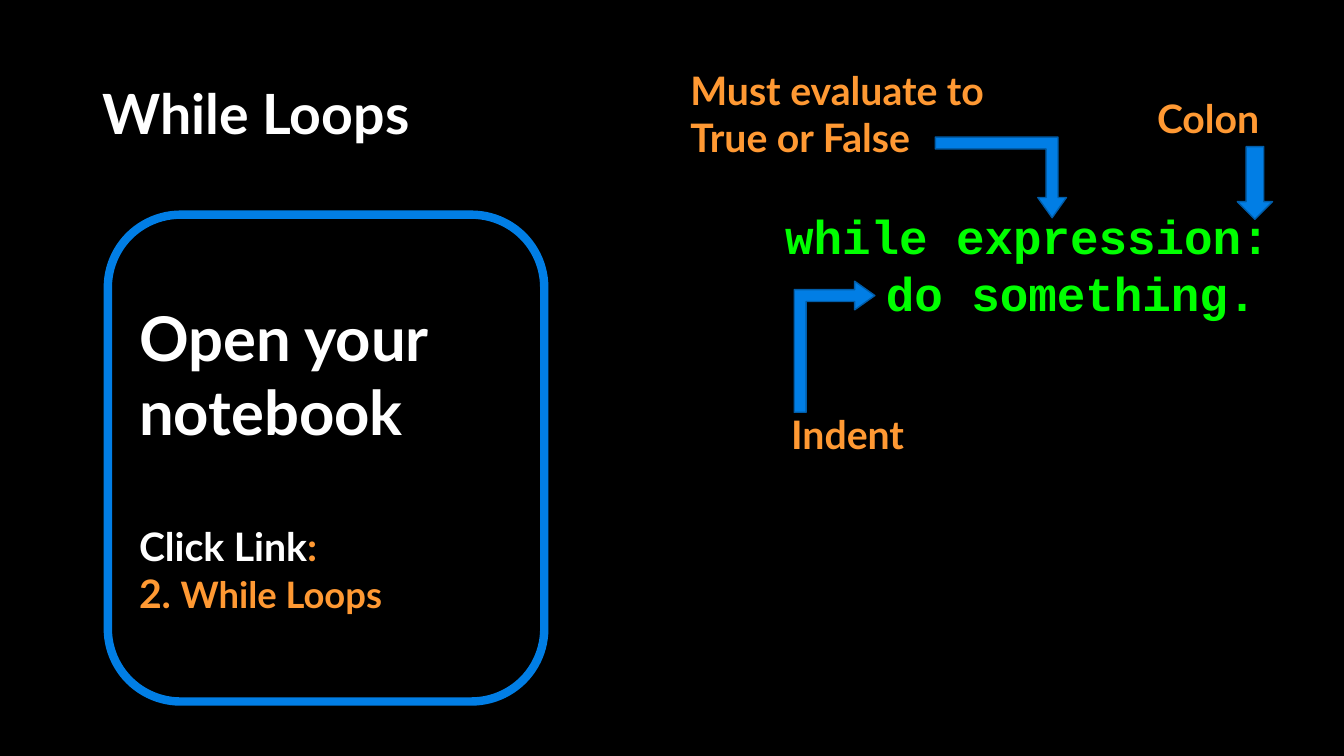
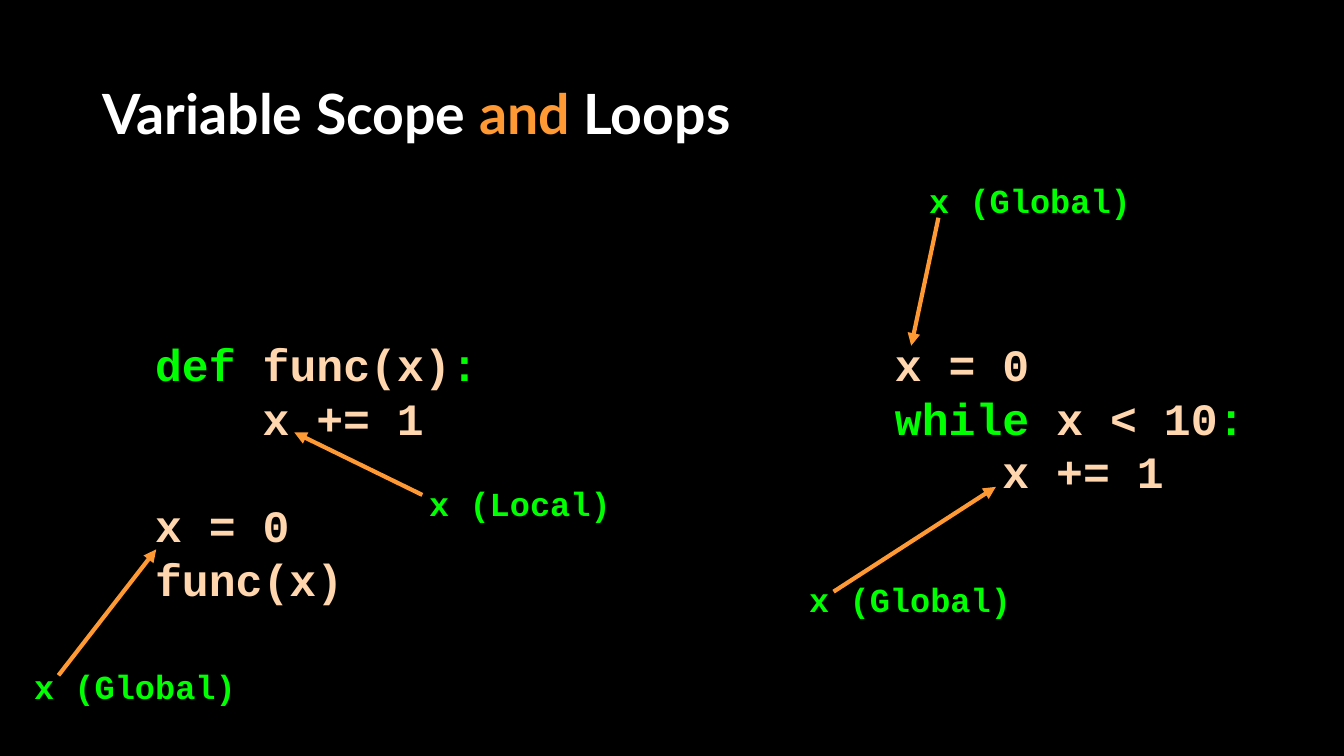
"""Two slides on while loops and variable scope."""
import dataclasses

import pptx
import pptx.dml.color
import pptx.enum.shapes
import pptx.enum.text
import pptx.oxml
import pptx.oxml.ns
import pptx.util

Pt = pptx.util.Pt
RGBColor = pptx.dml.color.RGBColor
SHAPE = pptx.enum.shapes.MSO_SHAPE
MIDDLE = pptx.enum.text.MSO_ANCHOR.MIDDLE
TOP = pptx.enum.text.MSO_ANCHOR.TOP

BLACK = RGBColor(0x00, 0x00, 0x00)
WHITE = RGBColor(0xFF, 0xFF, 0xFF)
ORANGE = RGBColor(0xFF, 0x99, 0x33)
PEACH = RGBColor(0xFF, 0xD6, 0xAD)
GREEN = RGBColor(0x00, 0xFF, 0x00)
BLUE = RGBColor(0x01, 0x7E, 0xE5)
DARK_BLUE = RGBColor(0x01, 0x5D, 0xA9)

PROSE, CODE = "Lato", "Courier New"
TITLE_BOX = (66.24, 57.6, 828, 51.84)
CODE_SIZE = 32
CODE_INDENT = 4 * 0.6 * CODE_SIZE
BLANK_LINE = 1.2


@dataclasses.dataclass
class Line:
    """One paragraph: runs of (text, colour), size, indent and gap above."""
    runs: list
    size: float
    indent: float = 0
    before: float = 0


def code(*runs, **layout):
    """Return a line of the code listings."""
    return Line(list(runs), CODE_SIZE, **layout)


LOOP_TITLE = [("While Loops", WHITE)]
SCOPE_TITLE = [("Variable Scope ", WHITE), ("and", ORANGE), (" Loops", WHITE)]

TASK_BOX = (77.04, 153.36, 311.76, 347.76)
TASK = [
    Line([("Open your notebook", WHITE)], 44),
    Line([("Click Link", WHITE), (":", ORANGE)], 28, before=44 * BLANK_LINE),
    Line([("2. ", ORANGE), ("While Loops", ORANGE, 26)], 28),
]
SYNTAX_BOX = (553.68, 144, 364.32, 90)
SYNTAX = [
    Line([("while expression:", GREEN)], 34),
    Line([("do something.", GREEN)], 34, indent=72),
]
SYNTAX_NOTES = [
    (["Indent"], (558, 289.44, 101.52, 41.04)),
    (["Colon"], (819.36, 64.08, 92.16, 41.04)),
    (["Must evaluate to", "True or False"], (486, 43.92, 246.24, 74.88)),
]
COLON_ARROW = (883.8, 104.76, 25.2, 51.84)
BENT_ARROWS = [
    ((549.36, 218.88, 93.6, 57.6), 90),
    ((668.16, 97.92, 93.6, 57.6), 180),
]
BENT_ADJUSTMENTS = (0.147, 0.177, 0.25)

LISTINGS = [
    ((632.16, 236.88, 278.64, 123.84), [
        code(("x = 0", PEACH)),
        code(("while ", GREEN), ("x < 10", PEACH), (":", GREEN)),
        code(("x += 1", PEACH), indent=CODE_INDENT),
    ]),
    ((103.68, 236.88, 278.64, 239.76), [
        code(("def ", GREEN), ("func(x)", PEACH), (":", GREEN)),
        code(("x += 1", PEACH), indent=CODE_INDENT),
        code(("x = 0", PEACH), before=CODE_SIZE * BLANK_LINE),
        code(("func(x)", PEACH)),
    ]),
]
SCOPE_NOTES = [
    ("x (Local)", (299.52, 341.28, 145.44, 36), (301.68, 353.52), (210.24, 308.88)),
    ("x (Global)", (17.28, 472.32, 159.84, 36), (41.76, 482.4), (111.6, 392.4)),
    ("x (Global)", (656.64, 125.28, 159.84, 36), (670.32, 155.52), (650.88, 246.96)),
    ("x (Global)", (570.96, 409.68, 159.84, 36), (595.44, 422.64), (711.36, 347.76)),
]


def points(values):
    """Convert numbers to point lengths."""
    return [Pt(value) for value in values]


def write_lines(frame, lines, font_name):
    """Fill a text frame with bold lines."""
    for index, line in enumerate(lines):
        paragraph = frame.add_paragraph() if index else frame.paragraphs[0]
        paragraph.alignment = pptx.enum.text.PP_ALIGN.LEFT
        paragraph.font.name = font_name
        paragraph.font.size = Pt(line.size)
        paragraph.font.bold = True
        paragraph.space_before = Pt(line.before)
        if line.indent:
            properties = paragraph._p.get_or_add_pPr()
            properties.set("marL", str(int(Pt(line.indent))))
            properties.set("indent", "0")
        for text, color, *size in line.runs:
            run = paragraph.add_run()
            run.text = text
            run.font.name = font_name
            run.font.bold = True
            run.font.size = Pt(size[0] if size else line.size)
            run.font.color.rgb = color


def add_text(slide, box, lines, font_name, wrap=False, anchor=TOP):
    """Add a text box and return its frame."""
    frame = slide.shapes.add_textbox(*points(box)).text_frame
    frame.word_wrap = wrap
    frame.vertical_anchor = anchor
    write_lines(frame, lines, font_name)
    return frame


def add_slide(presentation, title):
    """Add a blank slide with the shared title style."""
    slide = presentation.slides.add_slide(presentation.slide_layouts[6])
    frame = add_text(slide, TITLE_BOX, [Line(title, 39.6)], PROSE, True, MIDDLE)
    frame.paragraphs[0].line_spacing = 0.9
    return slide


def add_outlined(slide, kind, box, line_color, line_width, fill=None):
    """Add a preset shape with an outline and an optional fill."""
    shape = slide.shapes.add_shape(kind, *points(box))
    shape.shadow.inherit = False
    if fill is None:
        shape.fill.background()
    else:
        shape.fill.solid()
        shape.fill.fore_color.rgb = fill
    shape.line.color.rgb = line_color
    shape.line.width = Pt(line_width)
    return shape


def add_pointer(slide, start, end):
    """Add a straight arrow from start to end."""
    connector = slide.shapes.add_connector(
        pptx.enum.shapes.MSO_CONNECTOR.STRAIGHT, *points(start + end))
    connector.line.color.rgb = ORANGE
    connector.line.width = Pt(3)
    head = pptx.oxml.parse_xml(
        f'<a:tailEnd {pptx.oxml.ns.nsdecls("a")} type="triangle"/>')
    connector.line._get_or_add_ln().append(head)
    connector._element.spPr.append(
        pptx.oxml.parse_xml(f'<a:effectLst {pptx.oxml.ns.nsdecls("a")}/>'))


def build_loop_slide(presentation):
    """Build the slide on while loop syntax."""
    slide = add_slide(presentation, LOOP_TITLE)
    task = add_outlined(slide, SHAPE.ROUNDED_RECTANGLE, TASK_BOX, BLUE, 6)
    task.text_frame.word_wrap = True
    task.text_frame.vertical_anchor = MIDDLE
    write_lines(task.text_frame, TASK, PROSE)
    add_text(slide, SYNTAX_BOX, SYNTAX, CODE)
    add_outlined(slide, SHAPE.DOWN_ARROW, COLON_ARROW, DARK_BLUE, 1, BLUE)
    for box, rotation in BENT_ARROWS:
        arrow = add_outlined(slide, SHAPE.BENT_UP_ARROW, box, DARK_BLUE, 1, BLUE)
        arrow.rotation = rotation
        arrow._element.spPr.get_or_add_xfrm().set("flipH", "1")
        for index, value in enumerate(BENT_ADJUSTMENTS):
            arrow.adjustments[index] = value
    for texts, box in SYNTAX_NOTES:
        add_text(slide, box, [Line([(text, ORANGE)], 28) for text in texts], PROSE)


def build_scope_slide(presentation):
    """Build the slide on variable scope."""
    slide = add_slide(presentation, SCOPE_TITLE)
    for box, lines in LISTINGS:
        add_text(slide, box, lines, CODE, True)
    for text, box, start, end in SCOPE_NOTES:
        add_text(slide, box, [Line([(text, GREEN)], 24)], CODE)
        add_pointer(slide, start, end)


def main():
    """Build and save the presentation."""
    presentation = pptx.Presentation()
    presentation.slide_width, presentation.slide_height = points((960, 540))
    background = presentation.slide_master.background.fill
    background.solid()
    background.fore_color.rgb = BLACK
    build_loop_slide(presentation)
    build_scope_slide(presentation)
    presentation.save("out.pptx")


if __name__ == "__main__":
    main()
